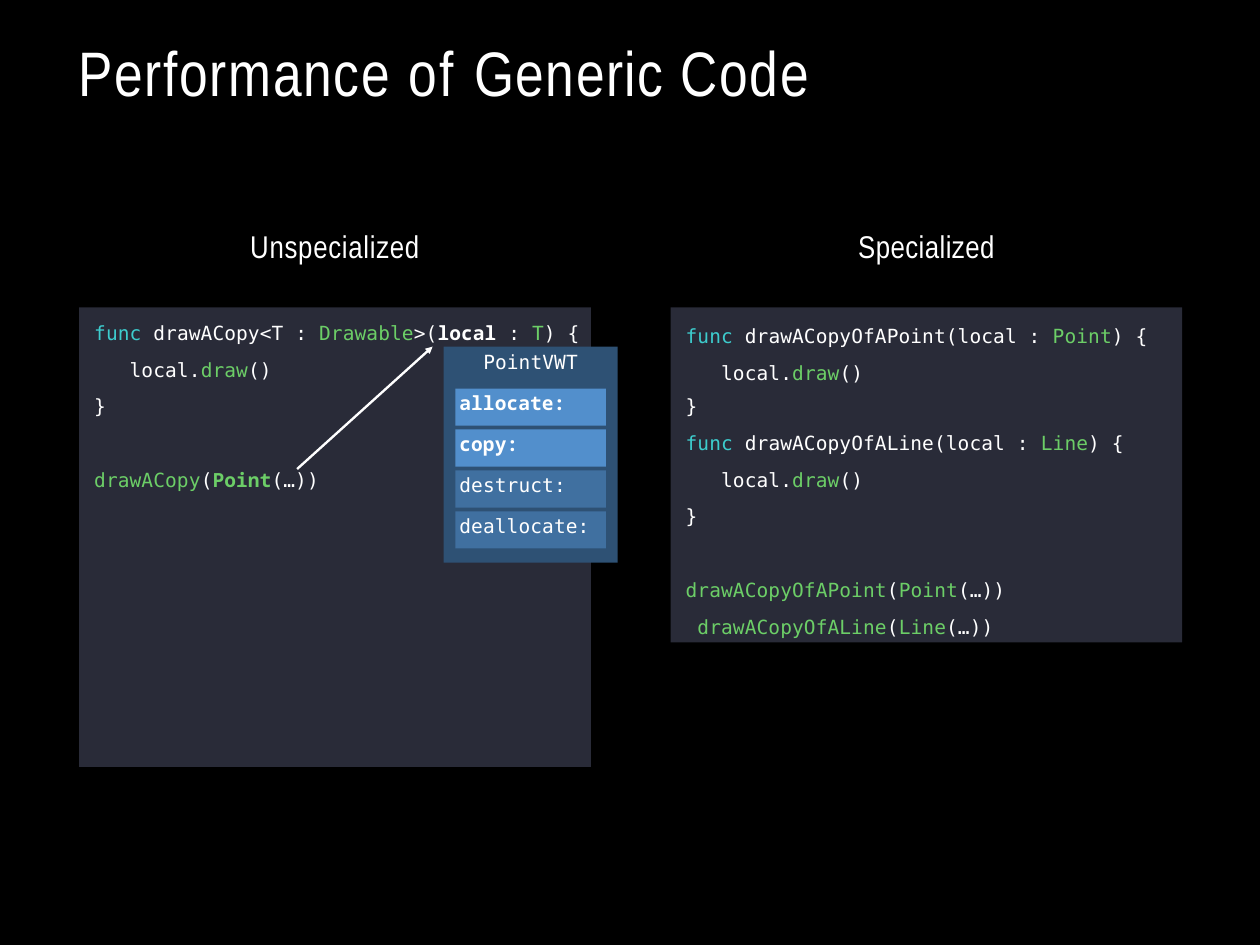
from lxml import etree
from pptx import Presentation
from pptx.dml.color import RGBColor
from pptx.enum.shapes import MSO_CONNECTOR, MSO_SHAPE
from pptx.enum.text import MSO_ANCHOR, PP_ALIGN
from pptx.oxml.ns import qn
from pptx.util import Inches, Pt

RECT = MSO_SHAPE.RECTANGLE
LINE = MSO_CONNECTOR.STRAIGHT
TOP = MSO_ANCHOR.TOP
LEFT, MID = PP_ALIGN.LEFT, PP_ALIGN.CENTER

TITLE = [("Performance ", "title"), ("of ", "wide"), ("Generic ", "tight"), ("Code", "title")]
DRAW = [("   local.", "code"), ("draw", "name"), ("()", "code")]
END = [("}", "code")]
GENERIC = [
    {"runs": [("func ", "key"), ("drawACopy<T : ", "code"), ("Drawable", "name"), (">(", "code"),
              ("local", "bold"), (" : ", "code"), ("T", "name"), (") {", "code")]},
    {"runs": DRAW},
    {"runs": END},
    {"runs": [("drawACopy", "name"), ("(", "code"), ("Point", "type"), ("(…))", "code")], "gap": 38.5},
]
SPECIAL = [
    {"runs": [("func ", "key"), ("drawACopyOfAPoint(local : ", "code"), ("Point", "name"), (") {", "code")]},
    {"runs": DRAW},
    {"runs": END, "pitch": 34.6},
    {"runs": [("func ", "key"), ("drawACopyOfALine(local : ", "code"), ("Line", "name"), (") {", "code")]},
    {"runs": DRAW},
    {"runs": END},
    {"runs": [("drawACopyOfAPoint", "name"), ("(", "code"), ("Point", "name"), ("(…))", "code")], "gap": 38.5},
    {"runs": [(" drawACopyOfALine", "name"), ("(", "code"), ("Line", "name"), ("(…))", "code")]},
]
PANELS = [
    {"head": "Unspecialized", "style": "head", "left": 1.15, "high": 6.68, "inset": 0, "code": GENERIC},
    {"head": "Specialized", "style": "slim", "left": 9.75, "high": 4.87, "inset": 0.05, "code": SPECIAL},
]
TABLE = "PointVWT"
ROWS = [("allocate:", True), ("copy:", True), ("destruct:", False), ("deallocate:", False)]

SANS, MONO, HEAVY = "Arial Narrow", "DejaVu Sans Mono", "Noto Sans Mono"
WHITE, GREEN, CYAN = "FFFFFF", "6CCE67", "3DCCCD"
THEME = {
    "back": "000000", "panel": "292B38", "table": "2E5174", "row": "528FCC", "arrow": WHITE,
    "pitch": 38.5,
    "type": {
        "title": (SANS, 65.8, WHITE, False, 1.8),
        "wide": (SANS, 65.8, WHITE, False, 3.1),
        "tight": (SANS, 65.8, WHITE, False, 1.5),
        "head": (SANS, 32.9, WHITE, False, 0.8),
        "slim": (SANS, 32.9, WHITE, False, 0.5),
        "code": (MONO, 20.4, WHITE, False, 0.1),
        "key": (MONO, 20.4, CYAN, False, 0.1),
        "name": (MONO, 20.4, GREEN, False, 0.1),
        "bold": (HEAVY, 20.4, WHITE, True, 0.1),
        "type": (HEAVY, 20.4, GREEN, True, 0.1),
    },
}

deck = Presentation()
deck.slide_width, deck.slide_height = Inches(18.32), Inches(13.74)
slide = deck.slides.add_slide(deck.slide_layouts[6])
slide.background.fill.solid()
slide.background.fill.fore_color.rgb = RGBColor.from_string(THEME["back"])


def write(shape, lines, align=LEFT, left=0, top=0, pitch=None):
    frame = shape.text_frame
    frame.word_wrap = False
    frame.vertical_anchor = TOP
    frame.margin_left, frame.margin_top = Inches(left), Inches(top)
    frame.margin_right = frame.margin_bottom = 0
    for spot, line in enumerate(lines):
        para = frame.add_paragraph() if spot else frame.paragraphs[0]
        para.alignment = align
        if pitch:
            para.line_spacing = Pt(line.get("pitch", pitch))
        if spot:
            para.space_before = Pt(line.get("gap", 0))
        for text, style in line["runs"]:
            face, size, color, bold, track = THEME["type"][style]
            run = para.add_run()
            run.text = text
            run.font.name, run.font.size, run.font.bold = face, Pt(size), bold
            run.font.color.rgb = RGBColor.from_string(color)
            run._r.get_or_add_rPr().set("spc", str(round(track * 100)))


def label(box, runs, **style):
    write(slide.shapes.add_textbox(*map(Inches, box)), [{"runs": runs}], **style)


def block(box, color, alpha=None):
    shape = slide.shapes.add_shape(RECT, *map(Inches, box))
    shape.shadow.inherit = False
    shape.fill.solid()
    shape.fill.fore_color.rgb = RGBColor.from_string(color)
    shape.line.fill.background()
    if alpha:
        tint = shape._element.spPr.find(qn("a:solidFill"))[0]
        etree.SubElement(tint, qn("a:alpha")).set("val", str(alpha * 1000))
    return shape


def arrow(start, end):
    link = slide.shapes.add_connector(LINE, *map(Inches, start + end))
    link.line.color.rgb = RGBColor.from_string(THEME["arrow"])
    link.line.width = Pt(2.47)
    etree.SubElement(link.line._get_or_add_ln(), qn("a:tailEnd")).set("type", "triangle")
    etree.SubElement(link._element.spPr, qn("a:effectLst"))


label((1.14, 0.49, 16.06, 1.11), TITLE)

WIDE = 7.44
for panel in PANELS:
    label((panel["left"], 3.3, WIDE, 0.55), [(panel["head"], panel["style"])], align=MID)
    body = block((panel["left"], 4.47, WIDE, panel["high"]), THEME["panel"])
    write(body, panel["code"], left=0.22, top=panel["inset"], pitch=THEME["pitch"])

table = block((6.45, 5.04, 2.53, 3.14), THEME["table"])
write(table, [{"runs": [(TABLE, "code")]}], align=MID, top=0.05)
for spot, (text, live) in enumerate(ROWS):
    row = block((6.62, 5.65 + spot * 0.595, 2.19, 0.54), THEME["row"], None if live else 50)
    write(row, [{"runs": [(text, "bold" if live else "code")]}], left=0.06, top=0.04)

arrow((4.32, 6.82), (6.29, 5.04))

deck.save("out.pptx")
